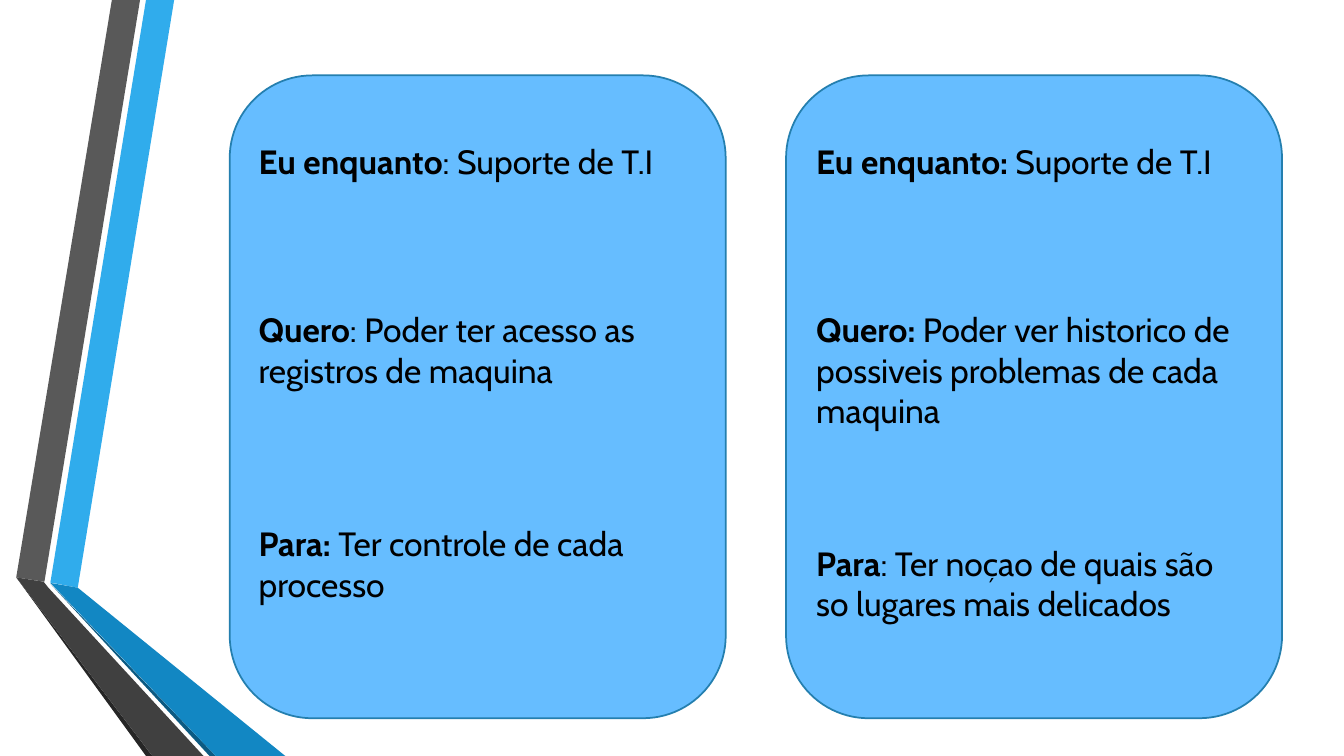
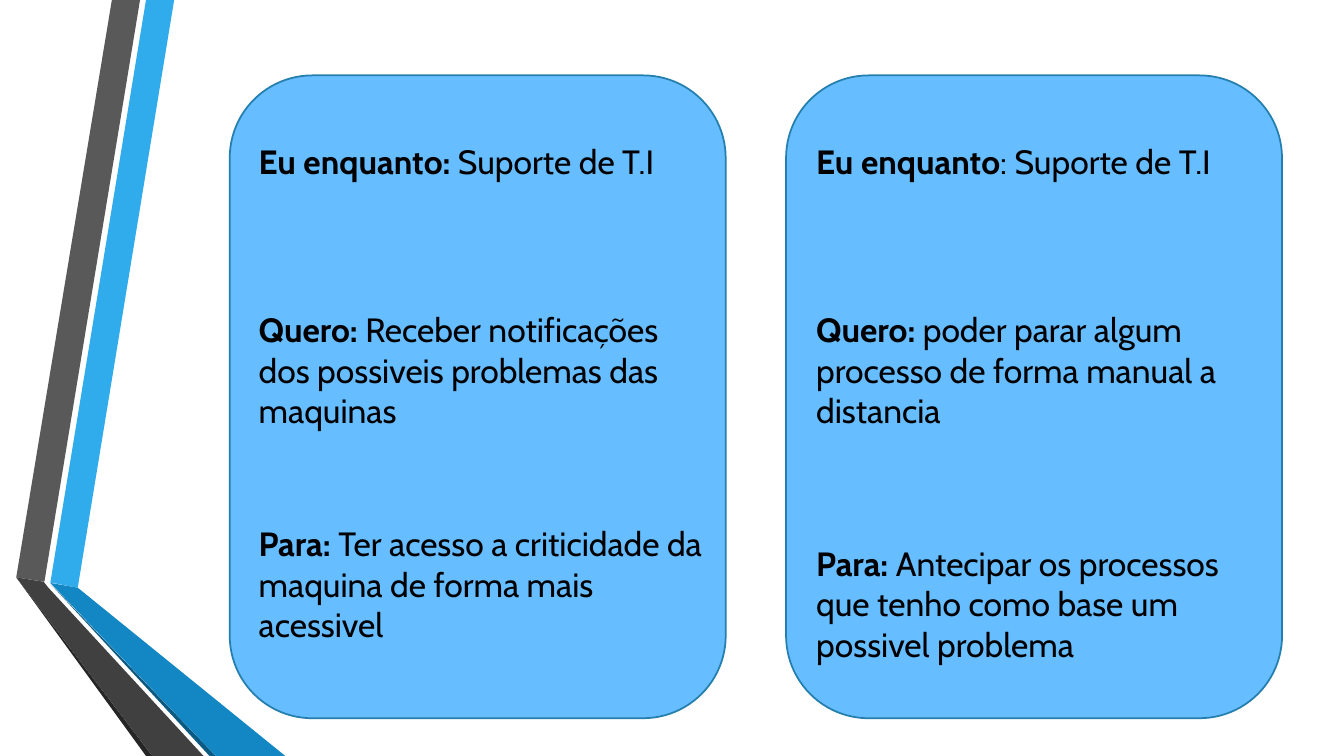
from pptx import Presentation
from pptx.dml.color import RGBColor
from pptx.enum.shapes import MSO_SHAPE
from pptx.enum.text import MSO_AUTO_SIZE as AutoSize
from pptx.util import Cm, Pt

# Content: slides > cards > (label, text, lines taken)
STORIES = [
    [
        [("Eu enquanto", ": Suporte de T.I", 1),
         ("Quero", ": Poder ter acesso as registros de maquina", 2),
         ("Para:", " Ter controle de cada processo", 2)],
        [("Eu enquanto: ", "Suporte de T.I", 1),
         ("Quero:", " Poder ver historico de possiveis problemas de cada maquina", 3),
         ("Para", ": Ter noçao de quais são so lugares mais delicados", 2)],
    ],
    [
        [("Eu enquanto: ", "Suporte de T.I", 1),
         ("Quero: ", "Receber notificações dos possiveis problemas das maquinas", 3),
         ("Para:", " Ter acesso a criticidade da maquina de forma mais acessivel", 3)],
        [("Eu enquanto", ": Suporte de T.I", 1),
         ("Quero: ", "poder parar algum processo de forma manual a distancia", 3),
         ("Para: ", "Antecipar os processos que tenho como base um possivel problema", 3)],
    ],
]

# Shared style, lengths in cm
SLIDE_W, SLIDE_H = 33.87, 19.05
FONT = {"name": "Cabin", "size": Pt(24)}
INK, CARD_FILL, CARD_LINE = "000000", "66BDFF", "247FAF"
CARD_TOP, CARD_W, CARD_H = 1.9, 12.5, 16.2
COLUMNS = [
    {"card": 5.79, "text": 6.27, "width": 11.86, "tops": (3.43, 7.67, 13.06)},
    {"card": 19.81, "text": 20.32, "width": 11.15, "tops": (3.43, 7.67, 13.56)},
]
LINE_H, TEXT_PAD = 1.03, 0.25

# Folded ribbon on the left: colour and corners
RIBBON = [
    ("30ACEC", [(1.27, 14.68), (1.96, 14.81), (4.39, 0), (3.68, 0)]),
    ("595959", [(3.53, 0), (2.82, 0), (0.41, 14.55), (1.12, 14.66)]),
    ("262626", [(0.41, 14.55), (3.68, SLIDE_H), (3.84, SLIDE_H)]),
    ("0C5A82", [(1.27, 14.71), (5.28, SLIDE_H), (5.44, SLIDE_H)]),
    ("1287C3", [(1.27, 14.69), (5.44, SLIDE_H), (7.19, SLIDE_H), (1.96, 14.81)]),
    ("404040", [(5.13, SLIDE_H), (1.22, 14.81), (1.1, 14.66), (0.41, 14.55),
                (3.84, SLIDE_H)]),
]


def rgb(value):
    return RGBColor.from_string(value)


def paint(sp, fill, line=None):
    sp.shadow.inherit = False
    sp.fill.solid()
    sp.fill.fore_color.rgb = rgb(fill)
    if line:
        sp.line.color.rgb = rgb(line)
        sp.line.width = Pt(1.25)
    else:
        sp.line.fill.background()


def add_ribbon(s):
    for color, corners in RIBBON:
        start, *rest = [(Cm(x), Cm(y)) for x, y in corners]
        builder = s.shapes.build_freeform(*start)
        builder.add_line_segments(rest, close=True)
        paint(builder.convert_to_shape(), color)


def add_card(s, column):
    box = (column["card"], CARD_TOP, CARD_W, CARD_H)
    sp = s.shapes.add_shape(MSO_SHAPE.ROUNDED_RECTANGLE, *map(Cm, box))
    paint(sp, CARD_FILL, CARD_LINE)


def add_entry(s, column, top, entry):
    label, text, lines = entry
    box = (column["text"], top, column["width"], TEXT_PAD + LINE_H * lines)
    tf = s.shapes.add_textbox(*map(Cm, box)).text_frame
    tf.word_wrap = True
    tf.auto_size = AutoSize.SHAPE_TO_FIT_TEXT
    p = tf.paragraphs[0]
    for part, bold in ((label, True), (text, False)):
        r = p.add_run()
        r.text = part
        for key, value in {**FONT, "bold": bold}.items():
            setattr(r.font, key, value)
        r.font.color.rgb = rgb(INK)


def main():
    prs = Presentation()
    prs.slide_width, prs.slide_height = Cm(SLIDE_W), Cm(SLIDE_H)
    for cards in STORIES:
        s = prs.slides.add_slide(prs.slide_layouts[6])
        add_ribbon(s)
        for column, entries in zip(COLUMNS, cards):
            add_card(s, column)
            for top, entry in zip(column["tops"], entries):
                add_entry(s, column, top, entry)
    prs.save("out.pptx")


if __name__ == "__main__":
    main()
